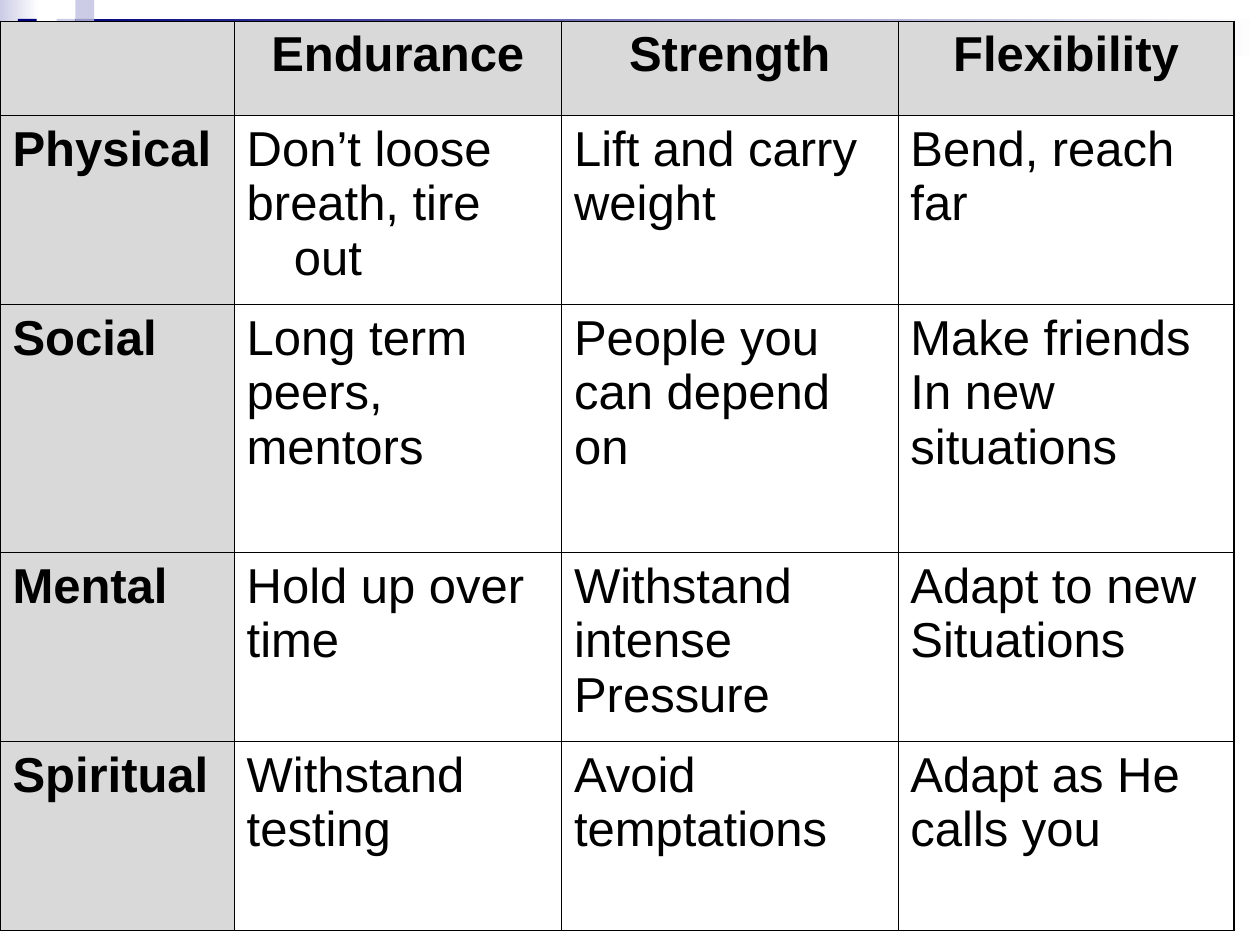
from dataclasses import dataclass

from lxml.etree import SubElement
from pptx import Presentation
from pptx.dml.color import RGBColor
from pptx.enum.shapes import MSO_SHAPE
from pptx.enum.text import PP_ALIGN
from pptx.oxml.ns import qn
from pptx.slide import Slide
from pptx.table import Table, _Cell
from pptx.util import Cm, Pt

BLACK, WHITE, GREY = "000000", "FFFFFF", "D9D9D9"
NAVY, BLUE, LAVENDER = "00007D", "9999CC", "CCCCE6"
INNER_BORDER, OUTER_BORDER = Pt(0.45), Pt(0.96)
HANGING_INDENT = Cm(0.95)
COLUMN_WIDTHS = (4.72, 6.6, 6.78, 6.78)
ROW_HEIGHTS = (1.9, 3.81, 5, 3.81, 3.81)

CELL_TEXTS = (
    ("", "Endurance", "Strength", "Flexibility"),
    ("Physical", "Don’t loose\nbreath, tire out", "Lift and carry\nweight", "Bend, reach\nfar"),
    ("Social", "Long term\npeers,\nmentors", "People you\ncan depend\non", "Make friends\nIn new\nsituations"),
    ("Mental", "Hold up over\ntime", "Withstand\nintense\nPressure", "Adapt to new\nSituations"),
    ("Spiritual", "Withstand\ntesting", "Avoid\ntemptations", "Adapt as He\ncalls you"),
)


@dataclass
class Block:
    left: float
    top: float
    width: float
    height: float
    color: str
    fades: bool = False


def square(left: float, top: float, color: str) -> Block:
    return Block(left, top, 0.38, 0.38, color)


BLOCKS = (
    Block(0, 0, 0.79, 1.47, LAVENDER, fades=True),
    Block(1.14, 0.38, 24.26, 0.76, NAVY, fades=True),
    square(1.14, 0.38, LAVENDER),
    square(1.52, 0, LAVENDER),
    square(1.52, 0.38, BLUE),
    square(0.76, 0.76, LAVENDER),
    square(0.36, 0.38, NAVY),
    square(1.14, 0.76, BLUE),
    square(0.76, 1.14, BLUE),
)


def rgb(color: str) -> RGBColor:
    return RGBColor.from_string(color)


def draw_block(slide: Slide, block: Block) -> None:
    shape = slide.shapes.add_shape(
        MSO_SHAPE.RECTANGLE, Cm(block.left), Cm(block.top), Cm(block.width), Cm(block.height)
    )
    shape.shadow.inherit = False
    shape.line.fill.background()
    if block.fades:
        shape.fill.gradient()
        shape.fill.gradient_angle = 0
        for stop, position, color in zip(shape.fill.gradient_stops, (0, 1), (block.color, WHITE)):
            stop.position = position
            stop.color.rgb = rgb(color)
    else:
        shape.fill.solid()
        shape.fill.fore_color.rgb = rgb(block.color)


def set_borders(cell: _Cell, outer_sides: dict[str, bool]) -> None:
    properties = cell._tc.get_or_add_tcPr()
    for index, (side, is_outer) in enumerate(outer_sides.items()):
        width = OUTER_BORDER if is_outer else INNER_BORDER
        line = SubElement(properties, qn(f"a:ln{side}"), w=str(width))
        SubElement(SubElement(line, qn("a:solidFill")), qn("a:srgbClr"), val=BLACK)
        properties.insert(index, line)


def fill_cell(table: Table, row: int, column: int, text: str) -> None:
    cell = table.cell(row, column)
    is_heading = row == 0 or column == 0
    cell.text = text
    cell.fill.solid()
    cell.fill.fore_color.rgb = rgb(GREY if is_heading else WHITE)
    for paragraph in cell.text_frame.paragraphs:
        paragraph.alignment = PP_ALIGN.CENTER if row == 0 else PP_ALIGN.LEFT
        paragraph.font.name = "Arial"
        paragraph.font.size = Pt(28)
        paragraph.font.bold = is_heading
        paragraph.font.color.rgb = rgb(BLACK)
        properties = paragraph._p.get_or_add_pPr()
        properties.set("marL", str(HANGING_INDENT))
        properties.set("indent", str(-HANGING_INDENT))
    set_borders(cell, {
        "L": column == 0,
        "R": column == len(COLUMN_WIDTHS) - 1,
        "T": row == 0,
        "B": row == len(ROW_HEIGHTS) - 1,
    })


def draw_table(slide: Slide) -> None:
    table = slide.shapes.add_table(
        len(ROW_HEIGHTS), len(COLUMN_WIDTHS),
        Cm(0), Cm(0.43), Cm(sum(COLUMN_WIDTHS)), Cm(sum(ROW_HEIGHTS)),
    ).table
    table.first_row = False
    table.horz_banding = False
    for column, width in zip(table.columns, COLUMN_WIDTHS):
        column.width = Cm(width)
    for row, height in zip(table.rows, ROW_HEIGHTS):
        row.height = Cm(height)
    for row_index, texts in enumerate(CELL_TEXTS):
        for column_index, text in enumerate(texts):
            fill_cell(table, row_index, column_index, text)


def main() -> None:
    presentation = Presentation()
    presentation.slide_width = Cm(25.4)
    presentation.slide_height = Cm(19.05)
    slide = presentation.slides.add_slide(presentation.slide_layouts[6])
    for block in BLOCKS:
        draw_block(slide, block)
    draw_table(slide)
    presentation.save("out.pptx")


if __name__ == "__main__":
    main()
